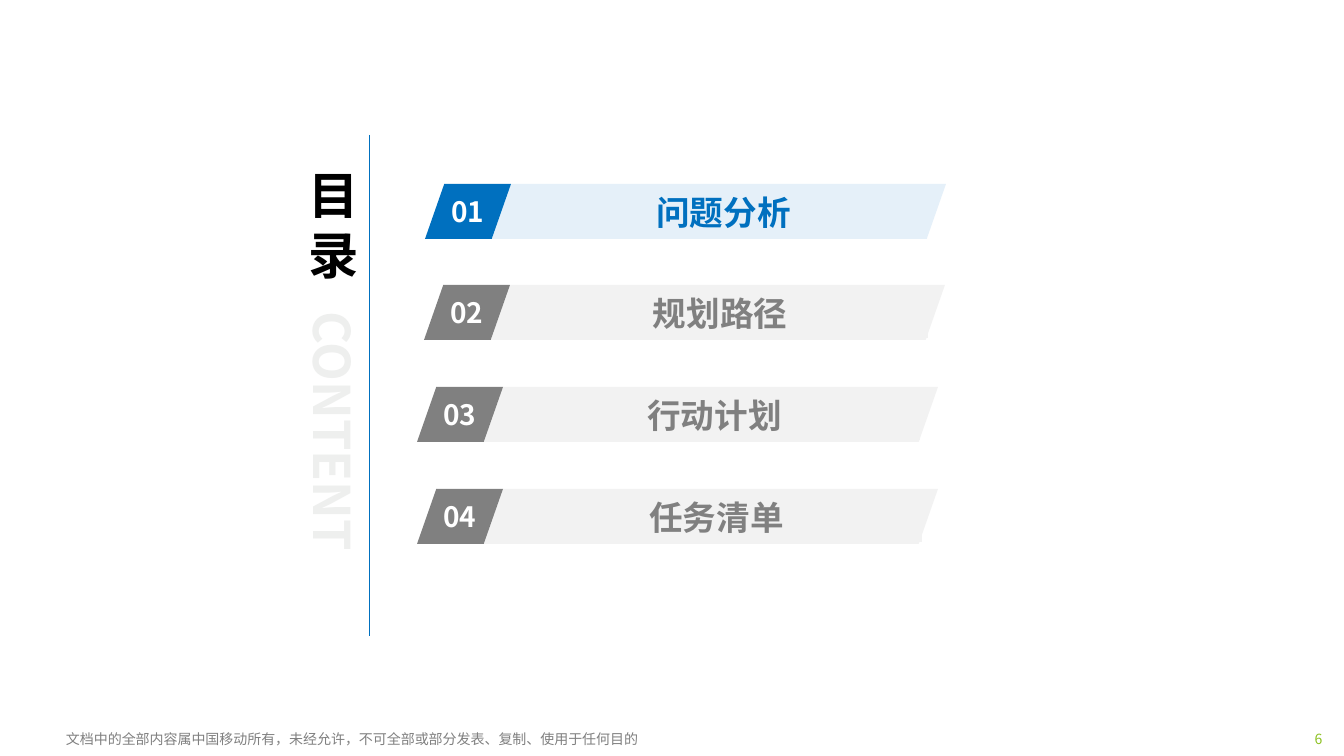
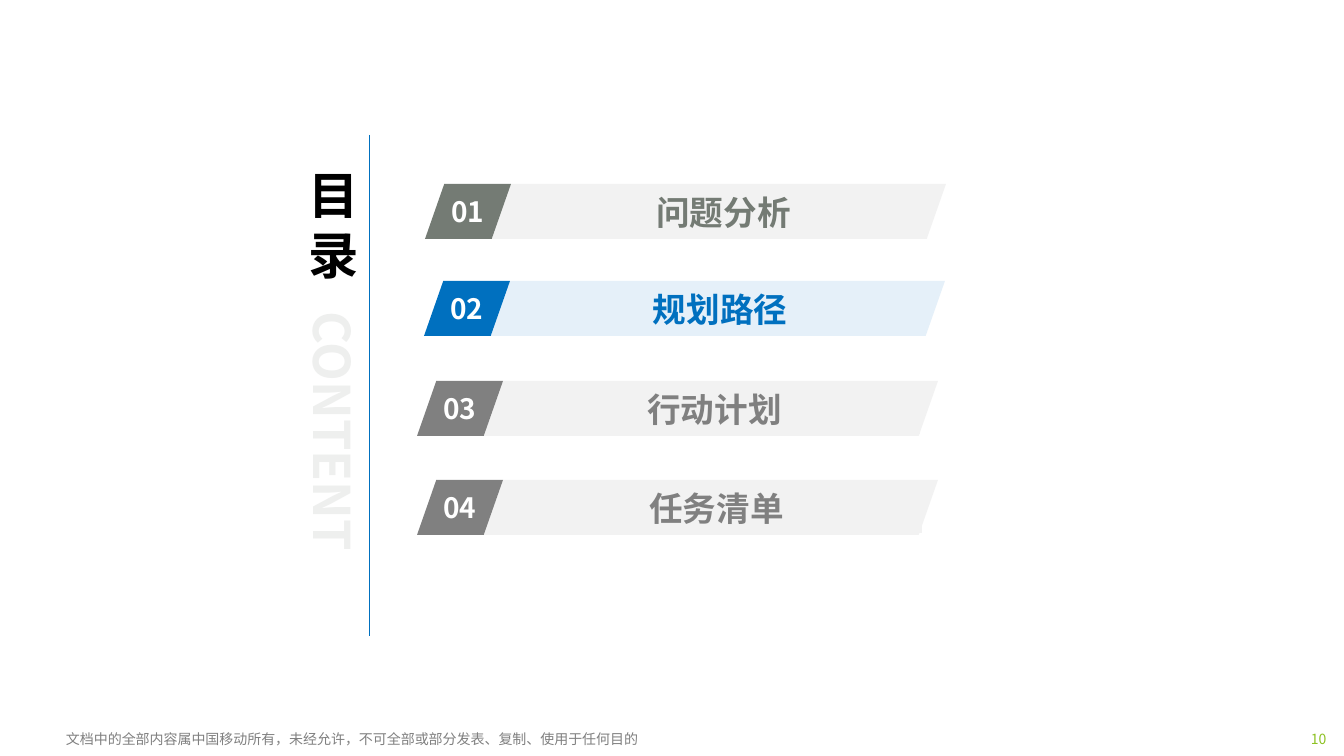
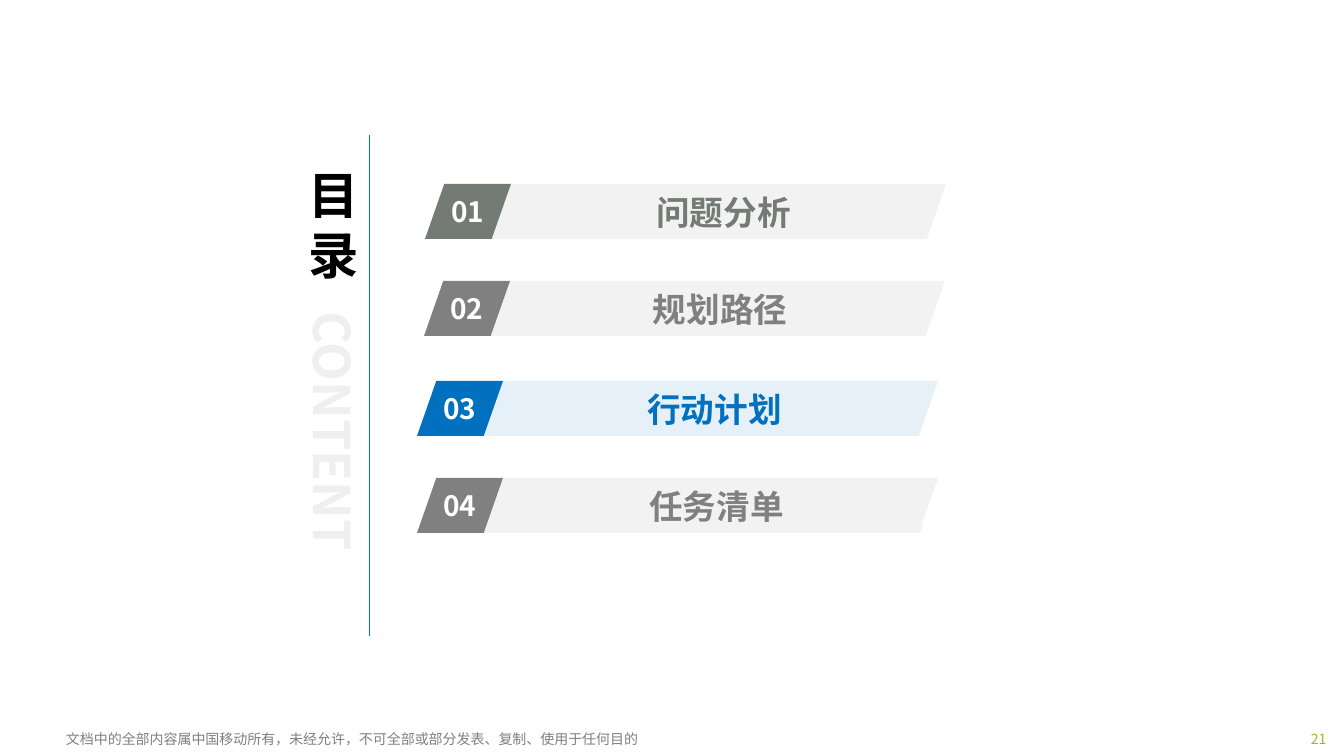
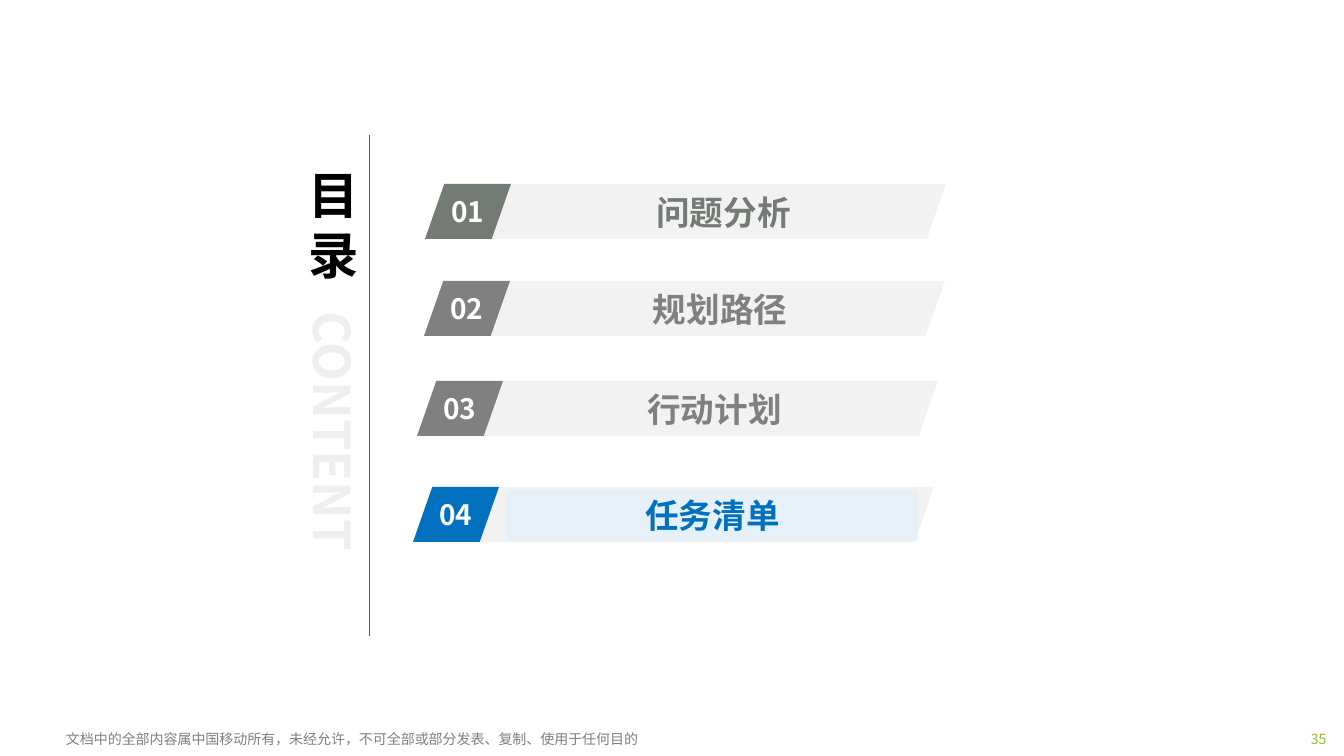
from pptx import Presentation
from pptx import util as u
from pptx.dml.color import RGBColor
from pptx.enum import shapes, text
from pptx.oxml.ns import qn
from lxml import etree

# Content
FOOTER = "文档中的全部内容属中国移动所有，未经允许，不可全部或部分发表、复制、使用于任何目的"
# number, title, tag left, label left from tag, label width
SECTIONS = [
    ("01", "问题分析", 425, 93, 411),
    ("02", "规划路径", 424, 88, 416),
    ("03", "行动计划", 417, 92, 411),
    ("04", "任务清单", 417, 94, 411),
]
# page number, active section, row tops, sections whose label is filled, shift of active row
AGENDAS = [
    {"page": "6", "active": "01", "tops": (184, 285, 387, 489), "filled": ("02", "03", "04"), "shift": 0},
    {"page": "10", "active": "02", "tops": (184, 281, 381, 480), "filled": ("03", "04"), "shift": 0},
    {"page": "21", "active": "03", "tops": (184, 281, 381, 478), "filled": ("04",), "shift": 0},
    {"page": "35", "active": "04", "tops": (184, 281, 381, 487), "filled": ("04",), "shift": -4},
]

# Shared style
FONT = "Noto Sans CJK SC"
COLORS = {
    "blue": "0070BF", "pale blue": "E5F0F9", "gray": "808080", "pale gray": "F2F2F2",
    "olive": "747B74", "ghost": "EEEFEE", "green": "8CC121", "black": "000000", "white": "FFFFFF",
}
BAR_WIDTH, TAG_WIDTH, ROW_HEIGHT, BAR_OFFSET = 454, 86, 55, 67
LABEL_HEIGHT, LABEL_DROP = 50, 3
SLANT = 0.35


def px(value):
    return u.Emu(round(value * 914400 / 100.8))


def color(name):
    return RGBColor.from_string(COLORS[name])


def write(shape, words, size, ink, align, bold=True, anchor=text.MSO_ANCHOR.MIDDLE, inset=0):
    frame = shape.text_frame
    frame.word_wrap = True
    frame.vertical_anchor = anchor
    frame.margin_left = frame.margin_right = px(inset)
    frame.margin_top = frame.margin_bottom = px(inset // 2)
    paragraph = frame.paragraphs[0]
    paragraph.text = words
    paragraph.alignment = align
    font = paragraph.font
    font.size, font.bold, font.name = u.Pt(size), bold, FONT
    font.color.rgb = color(ink)
    # East Asian typeface
    for run in paragraph.runs:
        etree.SubElement(run._r.get_or_add_rPr(), qn("a:ea"), typeface=FONT)
    return paragraph


def add_text(slide, box, *args, **options):
    shape = slide.shapes.add_textbox(*map(px, box))
    write(shape, *args, **options)
    return shape


def add_block(slide, kind, box, fill):
    shape = slide.shapes.add_shape(kind, *map(px, box))
    shape.shadow.inherit = False
    shape.fill.solid()
    shape.fill.fore_color.rgb = color(fill)
    shape.line.fill.background()
    if kind == shapes.MSO_SHAPE.PARALLELOGRAM:
        shape.adjustments[0] = SLANT
    return shape


def add_frame(slide, page):
    """Footer, page number, divider and the side title."""
    align = text.PP_ALIGN
    add_text(slide, (56, 725, 1180, 27), FOOTER, 10, "gray", align.LEFT, bold=False, inset=10)
    add_text(slide, (1294, 725, 49, 27), page, 10, "green", align.CENTER, bold=False, inset=10)
    divider = slide.shapes.add_connector(shapes.MSO_CONNECTOR.STRAIGHT, px(369), px(135), px(369), px(636))
    divider.line.color.rgb = color("blue")
    divider.line.width = u.Pt(0.5)
    etree.SubElement(divider._element.spPr, qn("a:effectLst"))
    top = text.MSO_ANCHOR.TOP
    add_text(slide, (278, 159, 91, 132), "目录", 36, "black", align.RIGHT, anchor=top, inset=10)
    content = add_text(slide, (196, 388, 274, 72), "CONTENT", 36, "ghost", align.RIGHT, anchor=top, inset=10)
    content.rotation = 90


def add_row(slide, agenda, section, top):
    number, title, left, label_offset, label_width = section
    active = number == agenda["active"]
    if active:
        ink, tint = "blue", "pale blue"
        left += agenda["shift"]
    else:
        ink, tint = "olive" if number == "01" else "gray", "pale gray"
    filled = number in agenda["filled"]
    bar_tint = "pale gray" if filled else tint

    # Bar and number tag
    slanted = shapes.MSO_SHAPE.PARALLELOGRAM
    add_block(slide, slanted, (left + BAR_OFFSET, top, BAR_WIDTH, ROW_HEIGHT), bar_tint)
    tag = add_block(slide, slanted, (left, top, TAG_WIDTH, ROW_HEIGHT), ink)
    write(tag, number, 20, "white", text.PP_ALIGN.CENTER)

    # Label
    box = (left + label_offset, top + LABEL_DROP, label_width, LABEL_HEIGHT)
    if filled:
        label = add_block(slide, shapes.MSO_SHAPE.RECTANGLE, box, tint)
    else:
        label = slide.shapes.add_textbox(*map(px, box))
    write(label, title, 24, ink, text.PP_ALIGN.CENTER)


def main():
    presentation = Presentation()
    presentation.slide_width, presentation.slide_height = px(1344), px(756)
    for agenda in AGENDAS:
        slide = presentation.slides.add_slide(presentation.slide_layouts[6])
        add_frame(slide, agenda["page"])
        for section, top in zip(SECTIONS, agenda["tops"]):
            add_row(slide, agenda, section, top)
    presentation.save("out.pptx")


if __name__ == "__main__":
    main()
